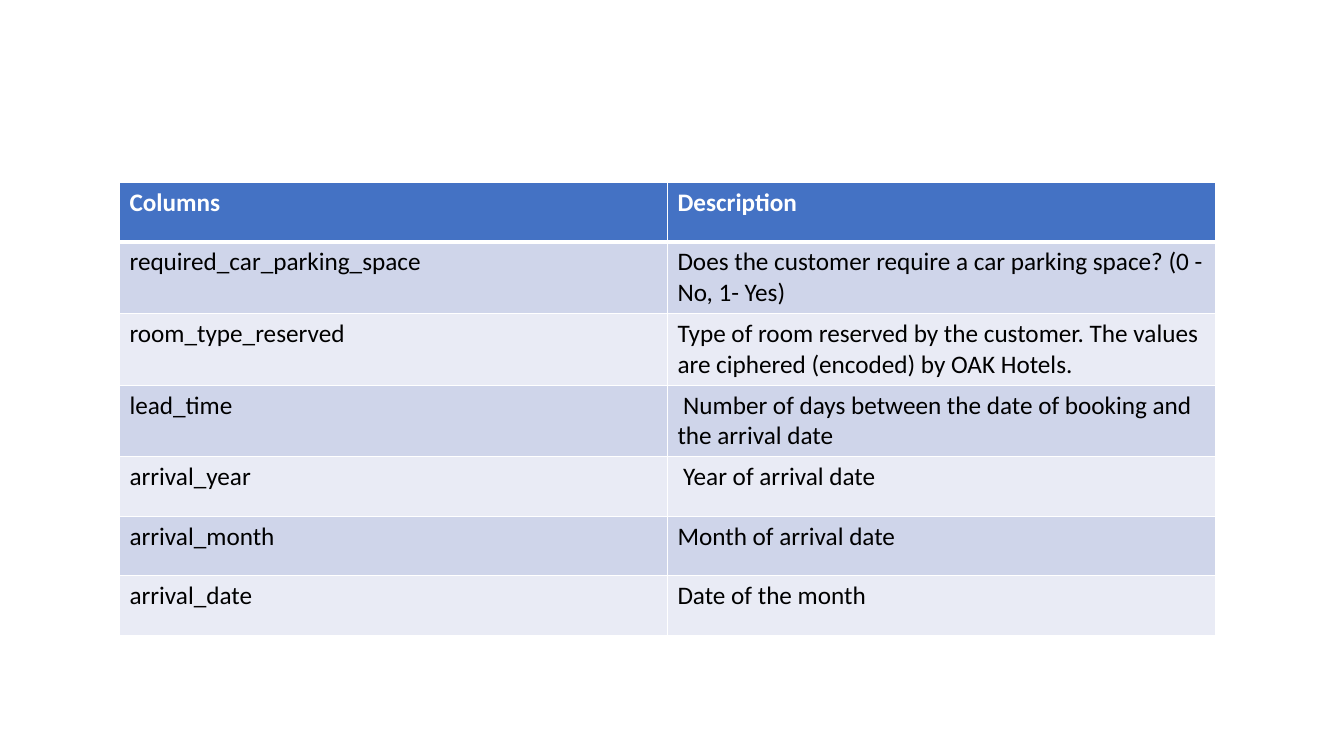
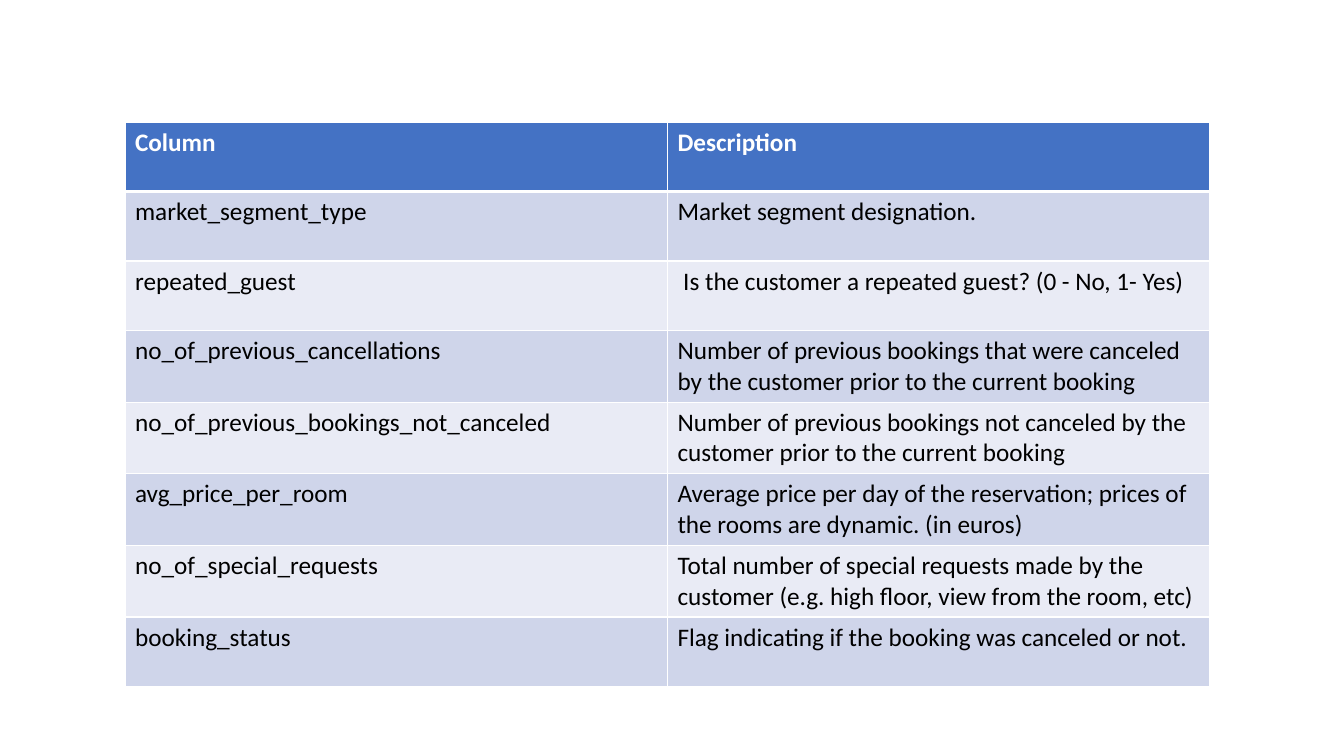
from lxml import etree
from pptx import Presentation
from pptx import util as u
from pptx.dml.color import RGBColor
from pptx.oxml import ns

WHITE, BLACK, HEAD = "FFFFFF", "000000", "4472C4"
BANDS = "CFD5EA", "E9EBF5"
FONT = {"name": "Calibri", "size": u.Pt(18)}
MID = 6.62

ROOMS = [
    ("Columns", "Description"),
    ("required_car_parking_space",
     "Does the customer require a car parking space? (0 - No, 1- Yes)"),
    ("room_type_reserved",
     "Type of room reserved by the customer. The values are ciphered (encoded) by OAK Hotels."),
    ("lead_time", " Number of days between the date of booking and the arrival date"),
    ("arrival_year", " Year of arrival date"),
    ("arrival_month", "Month of arrival date"),
    ("arrival_date", "Date of the month"),
]
GUESTS = [
    ("Column", "Description"),
    ("market_segment_type", "Market segment designation."),
    ("repeated_guest", " Is the customer a repeated guest? (0 - No, 1- Yes)"),
    ("no_of_previous_cancellations",
     "Number of previous bookings that were canceled by the customer prior to the current booking"),
    ("no_of_previous_bookings_not_canceled",
     "Number of previous bookings not canceled by the customer prior to the current booking"),
    ("avg_price_per_room",
     "Average price per day of the reservation; prices of the rooms are dynamic. (in euros)"),
    ("no_of_special_requests",
     "Total number of special requests made by the customer (e.g. high floor, view from the room, etc)"),
    ("booking_status", "Flag indicating if the booking was canceled or not."),
]


def paint(fill, tone):
    fill.solid()
    fill.fore_color.rgb = RGBColor.from_string(tone)


def edge(cell, row):
    props = cell._tc.get_or_add_tcPr()
    thick = {"T": 3 if row == 1 else 1, "B": 3 if row == 0 else 1}
    for side in "LRTB":
        line = etree.SubElement(props, ns.qn("a:ln" + side),
                                w=str(u.Pt(thick.get(side, 1))))
        fill = etree.SubElement(line, ns.qn("a:solidFill"))
        etree.SubElement(fill, ns.qn("a:srgbClr"), val=WHITE)


def style(cell, row, words):
    cell.text = words
    edge(cell, row)
    paint(cell.fill, BANDS[(row - 1) % 2] if row else HEAD)
    font = cell.text_frame.paragraphs[0].runs[0].font
    for key, value in {**FONT, "bold": row == 0}.items():
        setattr(font, key, value)
    paint(font.fill, BLACK if row else WHITE)


def grid(slide, rows, box):
    frame = slide.shapes.add_table(len(rows), len(rows[0]), *map(u.Inches, box))
    table = frame.table
    for flag in ("first_row", "horz_banding"):
        setattr(table, flag, False)
    for row, line in enumerate(rows):
        for col, words in enumerate(line):
            style(table.cell(row, col), row, words)


def main():
    deck = Presentation()
    deck.slide_width, deck.slide_height = u.Inches(13.33), u.Inches(7.5)
    for rows, top, width, step in ((ROOMS, 1.81, 10.87, 0.59),
                                   (GUESTS, 1.21, 10.76, 0.69)):
        slide = deck.slides.add_slide(deck.slide_layouts[6])
        grid(slide, rows, (MID - width / 2, top, width, step * len(rows)))
    deck.save("out.pptx")


if __name__ == "__main__":
    main()
